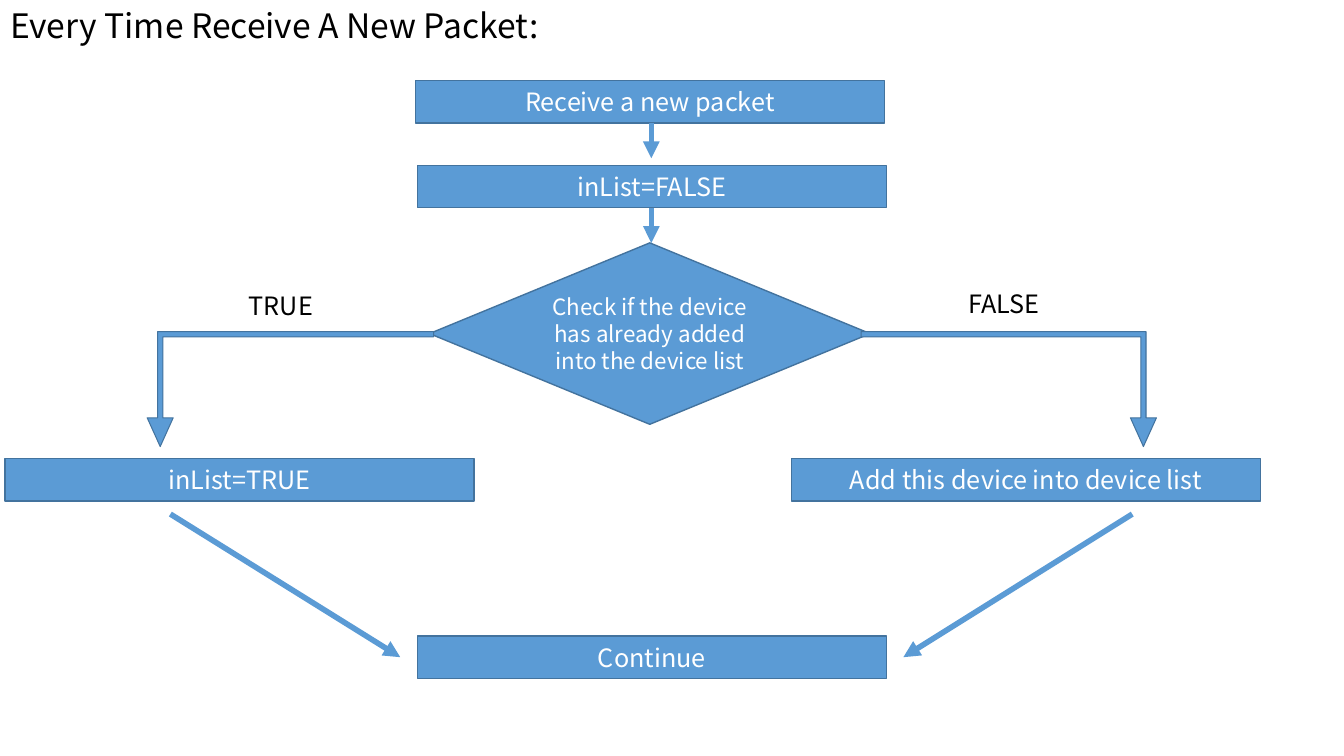
from dataclasses import dataclass

from lxml import etree
from pptx import Presentation
from pptx.dml.color import RGBColor
from pptx.enum.shapes import MSO_CONNECTOR, MSO_SHAPE
from pptx.enum.text import MSO_ANCHOR, MSO_AUTO_SIZE, PP_ALIGN
from pptx.oxml.ns import qn
from pptx.shapes.autoshape import Shape
from pptx.slide import Slide
from pptx.text.text import TextFrame
from pptx.util import Pt

PX = 9144  # EMU in one px, at 100 px to the inch
FONT = "Noto Sans CJK SC"
BLUE = RGBColor(0x5B, 0x9B, 0xD5)
EDGE = RGBColor(0x43, 0x73, 0x9E)
BLACK = RGBColor(0, 0, 0)
WHITE = RGBColor(255, 255, 255)
RECTANGLE = MSO_SHAPE.RECTANGLE
DECISION = MSO_SHAPE.FLOWCHART_DECISION
BENT_ARROW = MSO_SHAPE.BENT_UP_ARROW
STRAIGHT = MSO_CONNECTOR.STRAIGHT
LEFT, CENTER = PP_ALIGN.LEFT, PP_ALIGN.CENTER
TOP, MIDDLE = MSO_ANCHOR.TOP, MSO_ANCHOR.MIDDLE
GROW = MSO_AUTO_SIZE.SHAPE_TO_FIT_TEXT

STEP_WIDTH, STEP_HEIGHT = 465, 42
LABEL_WIDTH, LABEL_HEIGHT = 134, 40
BRANCH_TOP, BRANCH_HEIGHT = 329, 114
BRANCH_ADJUSTMENTS = (0.045, 0.113, 0.25)


@dataclass
class Caption:
    """A text with its top left corner."""
    text: str
    left: int
    top: int


@dataclass
class Arrow:
    """A straight arrow from start to end."""
    start: tuple[int, int]
    end: tuple[int, int]


@dataclass
class Branch:
    """A bent arrow leaving one side of the decision."""
    left: int
    width: int
    mirrored: bool


STEPS = [
    Caption("Receive a new packet", 412, 80),
    Caption("inList=FALSE", 414, 164),
    Caption("inList=TRUE", 5, 455),
    Caption("Add this device into device list", 785, 455),
    Caption("Continue", 414, 631),
]
LABELS = [Caption("TRUE", 237, 283), Caption("FALSE", 951, 281)]
ARROWS = [
    Arrow((646, 122), (646, 157)),
    Arrow((646, 206), (646, 241)),
    Arrow((169, 510), (397, 652)),
    Arrow((1123, 510), (896, 652)),
]
BRANCHES = [Branch(146, 284, False), Branch(854, 293, True)]


def write(frame: TextFrame, text: str, size: int, color: RGBColor,
          align: PP_ALIGN, anchor: MSO_ANCHOR) -> None:
    frame.text = text
    frame.word_wrap = True
    frame.vertical_anchor = anchor
    para = frame.paragraphs[0]
    para.alignment = align
    font = para.runs[0].font
    font.name, font.size = FONT, Pt(size)
    font.color.rgb = color


def add_block(slide: Slide, kind: MSO_SHAPE, left: int, top: int,
              width: int, height: int, line_width: int = 1) -> Shape:
    block = slide.shapes.add_shape(
        kind, left * PX, top * PX, width * PX, height * PX)
    block.shadow.inherit = False
    block.fill.solid()
    block.fill.fore_color.rgb = BLUE
    block.line.color.rgb = EDGE
    block.line.width = Pt(line_width)
    return block


def add_decision(slide: Slide) -> None:
    block = add_block(slide, DECISION, 426, 241, 437, 180)
    frame = block.text_frame
    # Without insets the text keeps to three lines inside the diamond
    frame.margin_left = frame.margin_right = 0
    frame.margin_top = frame.margin_bottom = 0
    write(frame, "Check if the device has already added into the device list",
          16, WHITE, CENTER, MIDDLE)


def add_branch(slide: Slide, branch: Branch) -> None:
    block = add_block(slide, BENT_ARROW, branch.left, BRANCH_TOP,
                      branch.width, BRANCH_HEIGHT, line_width=0)
    for index, value in enumerate(BRANCH_ADJUSTMENTS):
        block.adjustments[index] = value
    block.rotation = 180
    if branch.mirrored:
        block.element.spPr.find(qn("a:xfrm")).set("flipH", "1")


def add_arrow(slide: Slide, arrow: Arrow) -> None:
    points = [value * PX for value in (*arrow.start, *arrow.end)]
    connector = slide.shapes.add_connector(STRAIGHT, *points)
    connector.line.color.rgb = BLUE
    connector.line.width = Pt(4)
    properties = connector.element.spPr
    etree.SubElement(properties.find(qn("a:ln")), qn("a:tailEnd"), type="triangle")
    etree.SubElement(properties, qn("a:effectLst"))


def add_label(slide: Slide, label: Caption) -> None:
    box = slide.shapes.add_textbox(label.left * PX, label.top * PX,
                                   LABEL_WIDTH * PX, LABEL_HEIGHT * PX)
    write(box.text_frame, label.text, 18, BLACK, LEFT, TOP)
    box.text_frame.auto_size = GROW


def main() -> None:
    deck = Presentation()
    deck.slide_width, deck.slide_height = 1333 * PX, 750 * PX
    page = deck.slides.add_slide(deck.slide_layouts[5])

    # Title
    title = page.shapes.title
    title.left, title.top, title.width, title.height = 0, 0, 555 * PX, 50 * PX
    write(title.text_frame, "Every Time Receive A New Packet:", 24, BLACK, LEFT, TOP)
    title.text_frame.auto_size = GROW

    # Decision and steps
    add_decision(page)
    for step in STEPS:
        block = add_block(page, RECTANGLE, step.left, step.top,
                          STEP_WIDTH, STEP_HEIGHT)
        write(block.text_frame, step.text, 18, WHITE, CENTER, MIDDLE)

    # Flow between them
    for branch in BRANCHES:
        add_branch(page, branch)
    for arrow in ARROWS:
        add_arrow(page, arrow)
    for label in LABELS:
        add_label(page, label)

    deck.save("out.pptx")


if __name__ == "__main__":
    main()
